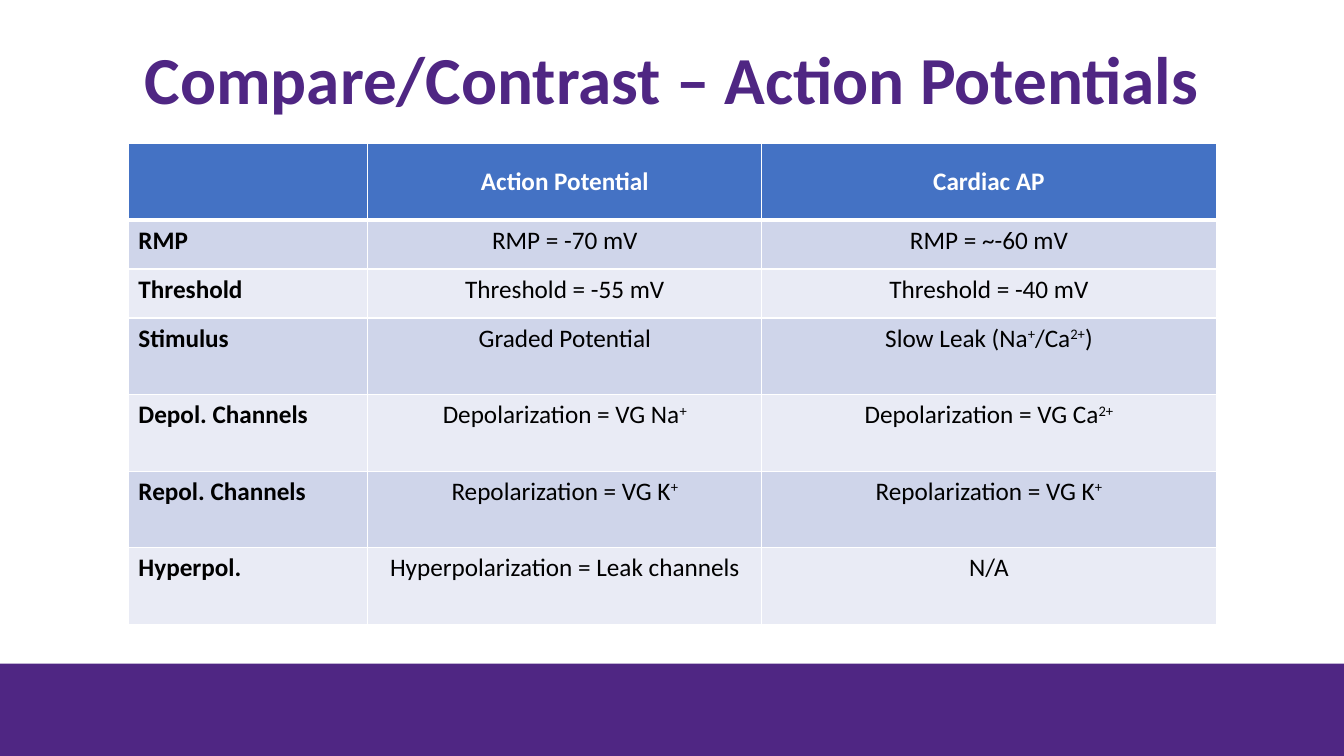
from lxml import etree
from pptx import Presentation
from pptx.dml.color import RGBColor
from pptx.enum.shapes import MSO_SHAPE
from pptx.enum.text import MSO_ANCHOR, PP_ALIGN
from pptx.oxml.ns import qn
from pptx.util import Pt

RECT = MSO_SHAPE.RECTANGLE
TOP, MIDDLE = MSO_ANCHOR.TOP, MSO_ANCHOR.MIDDLE
LEFT, CENTER = PP_ALIGN.LEFT, PP_ALIGN.CENTER

FONT = "Calibri"
PURPLE, BLUE, WHITE, BLACK = "4F2683", "4472C4", "FFFFFF", "000000"
BANDS = ["CFD5EA", "E9EBF5"]
SLIDE_W, SLIDE_H = 960, 540

# Text between carets is superscript
ROWS = [
    ["", "Action Potential", "Cardiac AP"],
    ["RMP", "RMP = -70 mV", "RMP = ~-60 mV"],
    ["Threshold", "Threshold = -55 mV", "Threshold = -40 mV"],
    ["Stimulus", "Graded Potential", "Slow Leak (Na^+^/Ca^2+^)"],
    ["Depol. Channels", "Depolarization = VG Na^+^", "Depolarization = VG Ca^2+^"],
    ["Repol. Channels", "Repolarization = VG K^+^", "Repolarization = VG K^+^"],
    ["Hyperpol.", "Hyperpolarization = Leak channels", "N/A"],
]
COL_WIDTHS = [171, 281.5, 324.5]
ROW_HEIGHTS = [54.7, 35, 35] + [54.7] * 4


def rgb(color):
    return RGBColor.from_string(color)


def write(p, text, size, color, bold, align):
    p.alignment = align
    for i, part in enumerate(text.split("^")):
        if not part:
            continue
        r = p.add_run()
        r.text = part
        r.font.name = FONT
        r.font.size = Pt(size)
        r.font.bold = bold
        r.font.color.rgb = rgb(color)
        if i % 2:
            r.font._element.set("baseline", "30000")


def set_borders(cell, top, bottom):
    tcPr = cell._tc.get_or_add_tcPr()
    for side, width in (("L", 1), ("R", 1), ("T", top), ("B", bottom)):
        ln = etree.SubElement(tcPr, qn(f"a:ln{side}"), w=str(Pt(width)))
        fill = etree.SubElement(ln, qn("a:solidFill"))
        etree.SubElement(fill, qn("a:srgbClr"), val=WHITE)


def add_title(s, x, y, w, h):
    tf = s.shapes.add_textbox(Pt(x), Pt(y), Pt(w), Pt(h)).text_frame
    tf.word_wrap = True
    tf.vertical_anchor = MIDDLE
    p = tf.paragraphs[0]
    p.line_spacing = 0.9
    write(p, "Compare/Contrast – Action Potentials", 48, PURPLE, True, CENTER)


def add_footer(s, x, y, w, h):
    sp = s.shapes.add_shape(RECT, Pt(x), Pt(y), Pt(w), Pt(h))
    sp.shadow.inherit = False
    sp.fill.solid()
    sp.fill.fore_color.rgb = rgb(PURPLE)
    sp.line.fill.background()


def add_comparison(s, x, y):
    frame = s.shapes.add_table(len(ROWS), len(COL_WIDTHS), Pt(x), Pt(y),
                               Pt(sum(COL_WIDTHS)), Pt(sum(ROW_HEIGHTS)))
    table = frame.table
    for col, width in zip(table.columns, COL_WIDTHS):
        col.width = Pt(width)
    for row, height in zip(table.rows, ROW_HEIGHTS):
        row.height = Pt(height)

    for i, texts in enumerate(ROWS):
        header = i == 0
        for j, text in enumerate(texts):
            cell = table.cell(i, j)
            set_borders(cell, 3 if i == 1 else 1, 3 if header else 1)
            cell.fill.solid()
            cell.fill.fore_color.rgb = rgb(BLUE if header else BANDS[(i - 1) % 2])
            cell.vertical_anchor = MIDDLE if header else TOP
            write(cell.text_frame.paragraphs[0], text, 18,
                  WHITE if header else BLACK, header or j == 0,
                  CENTER if header or j else LEFT)


def main():
    prs = Presentation()
    prs.slide_width, prs.slide_height = Pt(SLIDE_W), Pt(SLIDE_H)
    s = prs.slides.add_slide(prs.slide_layouts[6])
    add_title(s, 66, 16, 828, 86)
    add_footer(s, 0, 474, SLIDE_W, SLIDE_H - 474)
    add_comparison(s, 91.7, 102.5)
    prs.save("out.pptx")


if __name__ == "__main__":
    main()
